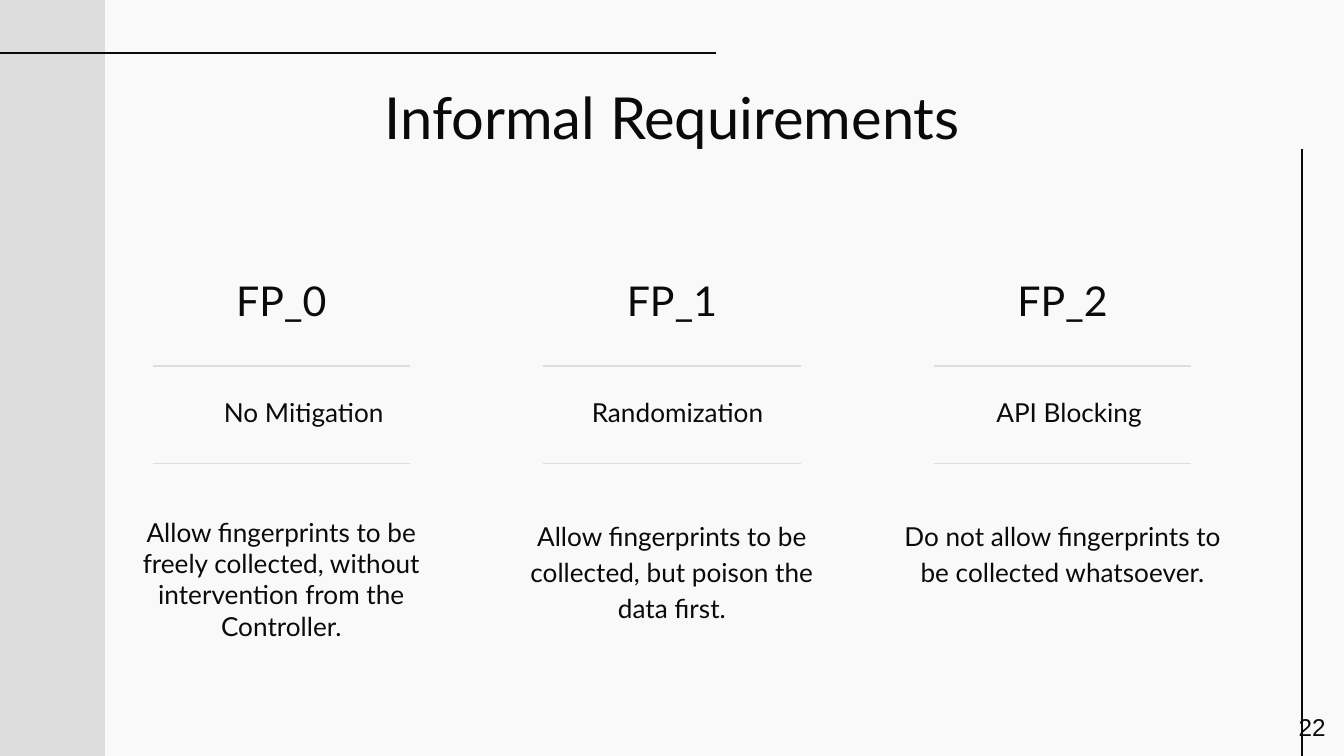
from dataclasses import dataclass

from lxml import etree
from pptx import Presentation
from pptx.dml.color import RGBColor
from pptx.enum.shapes import MSO_CONNECTOR, MSO_SHAPE
from pptx.enum.text import MSO_ANCHOR, PP_ALIGN
from pptx.oxml.ns import qn
from pptx.util import Pt

STRAIGHT = MSO_CONNECTOR.STRAIGHT
RECTANGLE = MSO_SHAPE.RECTANGLE
TOP, MIDDLE = MSO_ANCHOR.TOP, MSO_ANCHOR.MIDDLE
CENTER, RIGHT = PP_ALIGN.CENTER, PP_ALIGN.RIGHT

# Content
TITLE = "Informal Requirements"
PAGE_NUMBER = "22"
# heading, label, label shift to the right, description, description format
REQUIREMENTS = [
    ("FP_0", "No Mitigation", 12,
     "Allow fingerprints to be freely collected, without intervention from the Controller.",
     {}),
    ("FP_1", "Randomization", 3,
     "Allow fingerprints to be collected, but poison the data first.",
     {"line_spacing": 1.15, "space_after": 16}),
    ("FP_2", "API Blocking", 3.5,
     "Do not allow fingerprints to be collected whatsoever.",
     {"line_spacing": 1.15, "space_after": 16}),
]


@dataclass(frozen=True)
class Theme:
    background: RGBColor = RGBColor.from_string("F9F9F9")
    ink: RGBColor = RGBColor.from_string("0A0A0A")
    grey: RGBColor = RGBColor.from_string("DDDDDD")
    font: str = "Lato"
    number_font: str = "Arial"
    title_size: float = 31
    heading_size: float = 22
    body_size: float = 14
    number_size: float = 13
    line_width: float = 0.75


THEME = Theme()

# Layout, in points
WIDTH, HEIGHT = 720, 405
MARGIN = 56.25
INSET = 7.2
COLUMN_WIDTH = 189
COLUMN_STEP = (WIDTH - 2 * MARGIN - COLUMN_WIDTH) / (len(REQUIREMENTS) - 1)
RULE_WIDTH = 138
RULE_TOPS = (196, 248.25)


def add_text(slide, text, left, top, width, height, size=THEME.body_size, font=THEME.font,
             align=CENTER, anchor=TOP, line_spacing=None, space_after=0):
    shape = slide.shapes.add_textbox(Pt(left), Pt(top), Pt(width), Pt(height))
    frame = shape.text_frame
    frame.word_wrap = True
    frame.vertical_anchor = anchor
    frame.margin_left = frame.margin_right = Pt(INSET)
    frame.margin_top = frame.margin_bottom = Pt(INSET)
    paragraph = frame.paragraphs[0]
    paragraph.alignment = align
    paragraph.line_spacing = line_spacing
    paragraph.space_after = Pt(space_after)
    run = paragraph.add_run()
    run.text = text
    run.font.name = font
    run.font.size = Pt(size)
    run.font.color.rgb = THEME.ink


def add_line(slide, x1, y1, x2, y2, color):
    line = slide.shapes.add_connector(STRAIGHT, Pt(x1), Pt(y1), Pt(x2), Pt(y2))
    line.line.color.rgb = color
    line.line.width = Pt(THEME.line_width)
    etree.SubElement(line._element.spPr, qn("a:effectLst"))


def main():
    presentation = Presentation()
    presentation.slide_width, presentation.slide_height = Pt(WIDTH), Pt(HEIGHT)
    slide = presentation.slides.add_slide(presentation.slide_layouts[6])
    slide.background.fill.solid()
    slide.background.fill.fore_color.rgb = THEME.background

    # Side band and frame lines
    band = slide.shapes.add_shape(RECTANGLE, 0, 0, Pt(MARGIN), Pt(HEIGHT))
    band.shadow.inherit = False
    band.fill.solid()
    band.fill.fore_color.rgb = THEME.grey
    band.line.fill.background()
    add_line(slide, 383.5, 28.5, 0, 28.5, THEME.ink)
    add_line(slide, 697.5, 80, 697.5, HEIGHT, THEME.ink)

    # Title
    add_text(slide, TITLE, MARGIN, 36.75, WIDTH - 2 * MARGIN, 43.2, size=THEME.title_size)

    # Requirement columns
    for index, (heading, label, shift, description, style) in enumerate(REQUIREMENTS):
        left = MARGIN + index * COLUMN_STEP
        add_text(slide, heading, left, 140.5, COLUMN_WIDTH, 46.8, size=THEME.heading_size)
        rule_left = left + (COLUMN_WIDTH - RULE_WIDTH) / 2
        for top in RULE_TOPS:
            add_line(slide, rule_left, top, rule_left + RULE_WIDTH, top, THEME.grey)
        add_text(slide, label, left + shift, 205.2, COLUMN_WIDTH, 43.2)
        add_text(slide, description, left, 269.3, COLUMN_WIDTH, 94.3, **style)

    # Page number
    add_text(slide, PAGE_NUMBER, 674, 373.75, 43.2, 31, size=THEME.number_size,
             font=THEME.number_font, align=RIGHT, anchor=MIDDLE)

    presentation.save("out.pptx")


if __name__ == "__main__":
    main()
